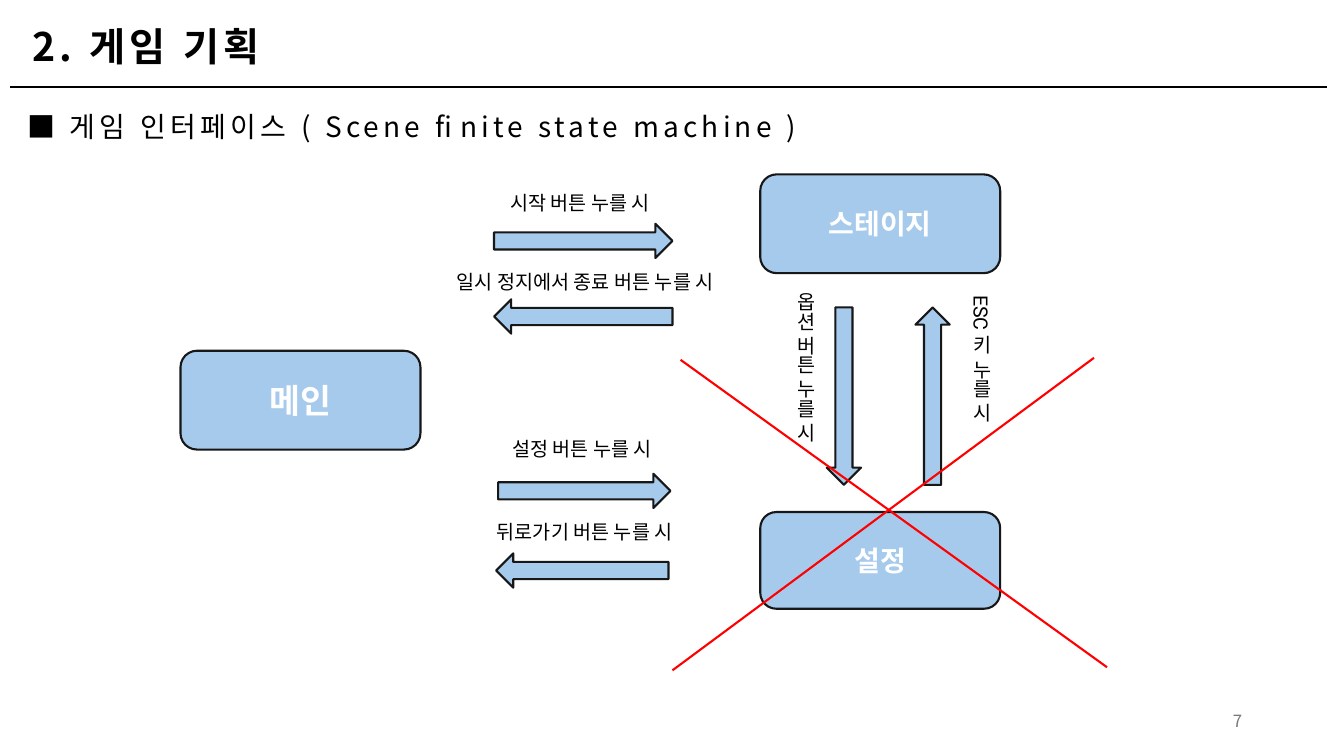
from lxml import etree
from pptx import Presentation
from pptx.dml.color import RGBColor
from pptx.enum.shapes import MSO_CONNECTOR, MSO_SHAPE
from pptx.enum.text import MSO_ANCHOR, MSO_AUTO_SIZE, PP_ALIGN
from pptx.oxml.ns import qn
from pptx.util import Inches, Pt

STRAIGHT = MSO_CONNECTOR.STRAIGHT
ROUNDED = MSO_SHAPE.ROUNDED_RECTANGLE
ARROW = MSO_SHAPE.RIGHT_ARROW
TOP, MIDDLE = MSO_ANCHOR.TOP, MSO_ANCHOR.MIDDLE
NO_AUTOFIT = MSO_AUTO_SIZE.NONE
LEFT, CENTER, RIGHT = PP_ALIGN.LEFT, PP_ALIGN.CENTER, PP_ALIGN.RIGHT

BLACK = RGBColor(0x00, 0x00, 0x00)
WHITE = RGBColor(0xFF, 0xFF, 0xFF)
SKY = RGBColor(0xA6, 0xCA, 0xEC)
OUTLINE = RGBColor(0x17, 0x17, 0x17)
RED = RGBColor(0xFF, 0x00, 0x00)
GRAY = RGBColor(0x79, 0x79, 0x79)

KOREAN_FONT = "Noto Sans CJK KR"
LABEL_FONT = "Roboto"
LINE_WIDTH = Pt(1.5)
ARROW_THICKNESS = 0.34


def inches(*lengths):
    return [Inches(length) for length in lengths]


def write(shape, text, size, color=BLACK, font=KOREAN_FONT, bold=False,
          align=LEFT, anchor=TOP, spacing=0):
    frame = shape.text_frame
    frame.text = text
    frame.word_wrap = True
    frame.auto_size = NO_AUTOFIT
    frame.vertical_anchor = anchor
    paragraph = frame.paragraphs[0]
    paragraph.alignment = align
    run = paragraph.runs[0]
    run.font.size = Pt(size)
    run.font.bold = bold
    run.font.color.rgb = color
    run.font.name = font
    properties = run.font._element
    properties.set("spc", str(spacing * 100))
    east_asian = etree.Element(qn("a:ea"), typeface=KOREAN_FONT)
    properties.find(qn("a:latin")).addnext(east_asian)


def add_text(slide, box, text, size, **style):
    shape = slide.shapes.add_textbox(*inches(*box))
    write(shape, text, size, **style)
    return shape


def add_line(slide, start, end, color):
    line = slide.shapes.add_connector(STRAIGHT, *inches(*start, *end))
    line.line.color.rgb = color
    line.line.width = LINE_WIDTH
    etree.SubElement(line._element.spPr, qn("a:effectLst"))


def add_block(slide, kind, box):
    shape = slide.shapes.add_shape(kind, *inches(*box))
    shape.shadow.inherit = False
    shape.fill.solid()
    shape.fill.fore_color.rgb = SKY
    shape.line.color.rgb = OUTLINE
    shape.line.width = LINE_WIDTH
    return shape


def add_state(slide, box, name, size):
    write(add_block(slide, ROUNDED, box), name, size, color=WHITE,
          bold=True, align=CENTER, anchor=MIDDLE)


def add_arrow(slide, left, top, length, rotation):
    arrow = add_block(slide, ARROW, (left, top, length, ARROW_THICKNESS))
    arrow.rotation = rotation


def add_label(slide, box, text, vertical=False):
    label = add_text(slide, box, text, 14, font=LABEL_FONT, align=CENTER)
    if vertical:
        label.text_frame._txBody.bodyPr.set("vert", "eaVert")


def add_header(slide, box):
    left, top, width, height = box
    title = slide.shapes.title
    title.left, title.top, title.width, title.height = inches(
        left + 0.12, top, 11.5, height)
    write(title, "2. 게임 기획", 28, bold=True, anchor=MIDDLE, spacing=3)
    title.text_frame.paragraphs[0].line_spacing = 0.9
    rule = top + height + 0.07
    add_line(slide, (left, rule), (left + width, rule), BLACK)
    add_text(slide, (left + 0.07, rule + 0.18, 8.79, 0.77),
             "■ 게임 인터페이스 ( Scene finite state machine )", 20, spacing=3)


def add_states(slide, box):
    left, top, width, height = box
    state_width, state_height = 2.38, 0.98
    right = left + width - state_width
    bottom = top + height - state_height
    add_state(slide, (left, top + 1.75, state_width, state_height), "메인", 24)
    add_state(slide, (right, top, state_width, state_height), "스테이지", 20)
    add_state(slide, (right, bottom, state_width, state_height - 0.02), "설정", 20)


def add_horizontal_transitions(slide, box):
    left, top, width, height = box
    transitions = [
        (0.45, 0, 1.91, "시작 버튼 누를 시", 0.55, 0.38, 1.77, 0),
        (0, 0.79, 2.91, "일시 정지에서 종료 버튼 누를 시", 0.55, 1.13, 1.77, 180),
        (0.47, 2.45, 1.91, "설정 버튼 누를 시", 0.59, 2.86, 1.71, 0),
        (0.14, 3.27, 2.62, "뒤로가기 버튼 누를 시", 0.57, 3.65, 1.71, 180),
    ]
    for label_x, label_y, label_width, text, x, y, length, rotation in transitions:
        add_label(slide, (left + label_x, top + label_y, label_width, 0.34), text)
        add_arrow(slide, left + x, top + y, length, rotation)


def add_vertical_transitions(slide, box):
    left, top, width, height = box
    label_width, arrow_length = 0.44, 1.76
    arrow_top = top + 0.96
    add_arrow(slide, left - 0.23, arrow_top, arrow_length, 90)
    add_arrow(slide, left + 0.65, arrow_top, arrow_length, 270)
    add_label(slide, (left, top, label_width, height), "옵션 버튼 누를 시", True)
    add_label(slide, (left + width - label_width, top + 0.03, label_width,
                      height - 0.03), "ESC 키 누를 시", True)


def add_cross(slide, box):
    left, top, width, height = box
    right, bottom = left + width, top + height
    add_line(slide, (left + 0.08, top + 0.02), (right, bottom - 0.03), RED)
    add_line(slide, (right - 0.13, top), (left, bottom), RED)


def main():
    presentation = Presentation()
    presentation.slide_width, presentation.slide_height = inches(13.33, 7.5)
    slide = presentation.slides.add_slide(presentation.slide_layouts[5])
    add_header(slide, (0.1, 0.17, 13.06, 0.62))
    add_states(slide, (1.79, 1.73, 8.13, 4.33))
    add_horizontal_transitions(slide, (4.35, 1.84, 2.91, 3.99))
    add_vertical_transitions(slide, (7.72, 2.8, 2.18, 2.19))
    add_cross(slide, (6.67, 3.55, 4.31, 3.1))
    add_text(slide, (9.42, 6.95, 3, 0.4), "7", 12, color=GRAY,
             align=RIGHT, anchor=MIDDLE)
    presentation.save("out.pptx")


if __name__ == "__main__":
    main()
